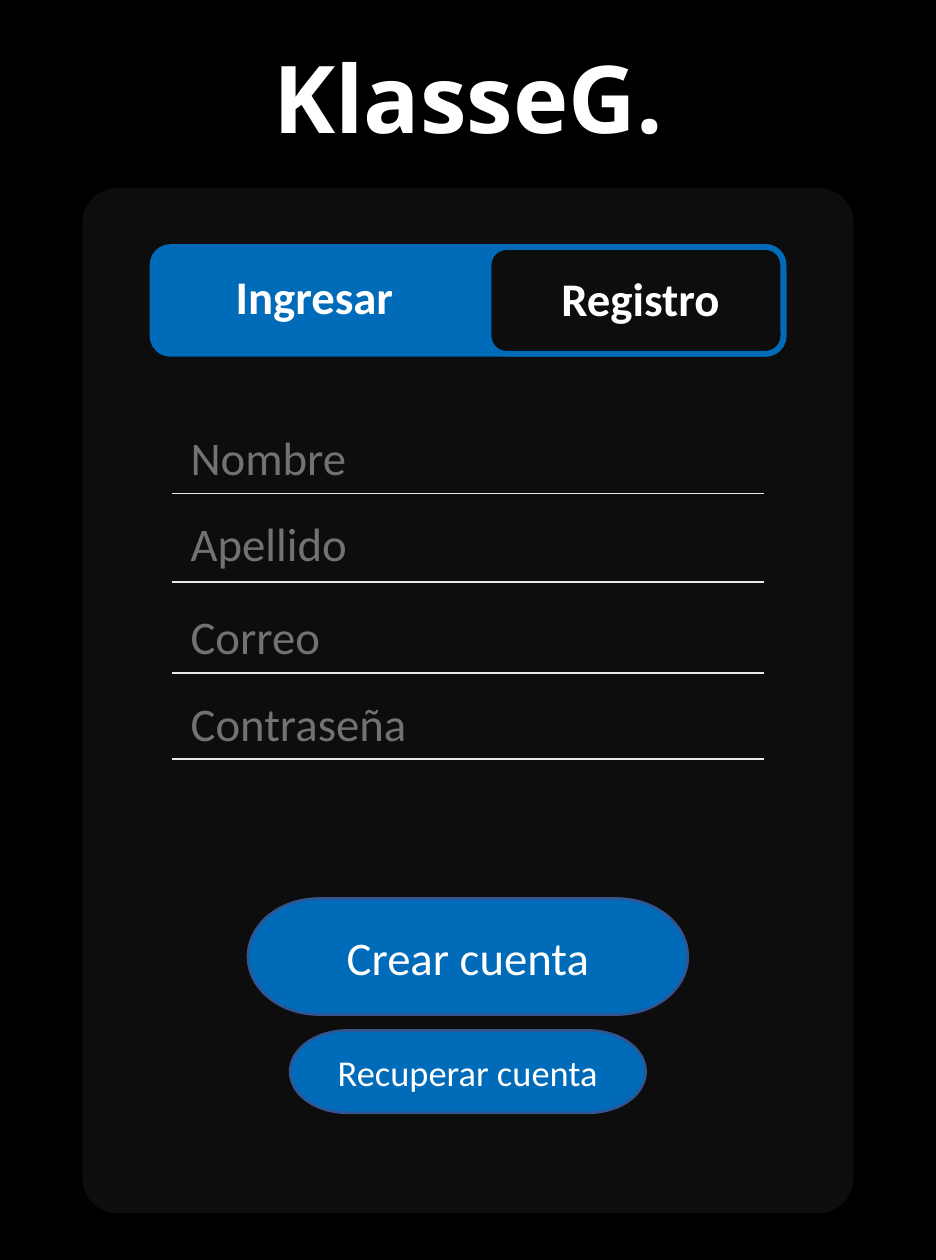
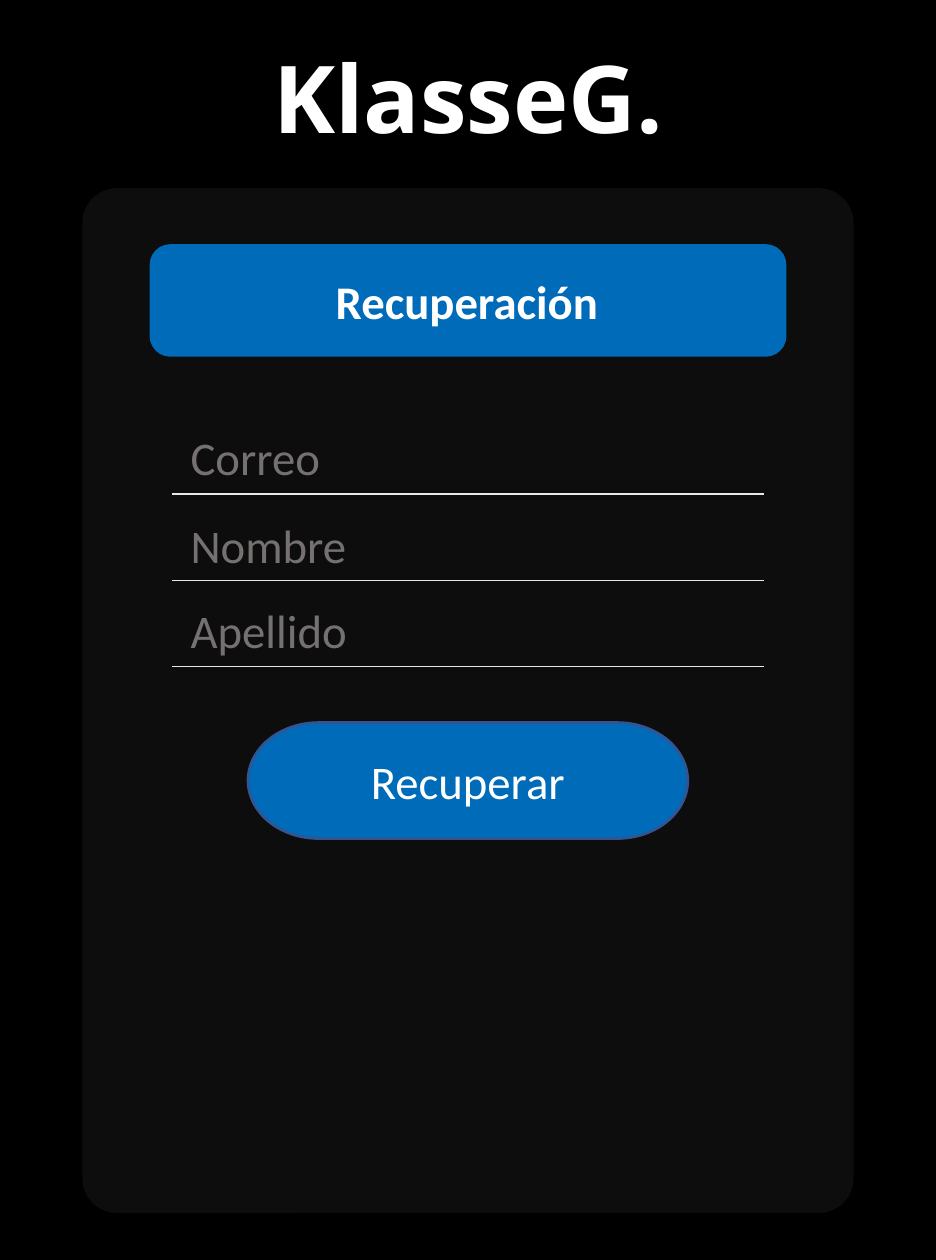
from pptx import Presentation
from pptx.dml.color import RGBColor
from pptx.enum.shapes import MSO_CONNECTOR, MSO_SHAPE
from pptx.enum.text import MSO_ANCHOR, MSO_AUTO_SIZE, PP_ALIGN
from pptx.oxml.ns import qn
from pptx.util import Cm, Pt
from lxml import etree

CARD = MSO_SHAPE.ROUNDED_RECTANGLE
TAB = MSO_SHAPE.FLOWCHART_ALTERNATE_PROCESS
PILL = MSO_SHAPE.FLOWCHART_TERMINATOR
STRAIGHT = MSO_CONNECTOR.STRAIGHT
LEFT, CENTER = PP_ALIGN.LEFT, PP_ALIGN.CENTER
TOP, MIDDLE = MSO_ANCHOR.TOP, MSO_ANCHOR.MIDDLE
NO_FIT, GROW = MSO_AUTO_SIZE.NONE, MSO_AUTO_SIZE.SHAPE_TO_FIT_TEXT
TITLE_ONLY = 5
COLUMNS = 50

BLACK, PANEL, BLUE = "000000", "0D0D0D", "006BB9"
EDGE, RULE, HINT, WHITE = "325491", "E9E8E8", "767171", "FFFFFF"
HINT_WIDTHS = {"Nombre": 10.4, "Apellido": 10.5, "Correo": 9,
               "Contraseña": 13.7}


def rgb(code):
    """Turn a hex string into a colour."""
    return RGBColor.from_string(code)


def write(tf, text, size=18, font="Calibri", color=WHITE, bold=False,
          align=CENTER, anchor=MIDDLE, wrap=True, fit=NO_FIT):
    """Write one formatted line into a text frame."""
    tf.word_wrap = wrap
    tf.auto_size = fit
    tf.vertical_anchor = anchor
    p = tf.paragraphs[0]
    p.alignment = align
    r = p.add_run()
    r.text = text
    r.font.size, r.font.name, r.font.bold = Pt(size), font, bold
    r.font.color.rgb = rgb(color)


class Screens:
    """Phone screens on a grid of square cells, 50 to the slide's width."""

    def __init__(self, prs):
        """Keep the presentation and paint the shared background."""
        self.prs = prs
        self.cell = prs.slide_width / COLUMNS
        fill = prs.slide_master.background.fill
        fill.solid()
        fill.fore_color.rgb = rgb(BLACK)

    def grid(self, *cells):
        """Convert grid cells to lengths."""
        return [round(c * self.cell) for c in cells]

    def screen(self, name):
        """Start a slide with its title and card."""
        self.slide = self.prs.slides.add_slide(
            self.prs.slide_layouts[TITLE_ONLY])
        self.shapes = self.slide.shapes
        title = self.shapes.title
        title.left, title.top, title.width, title.height = self.grid(
            11.6, 0, 26.8, 10.3)
        write(title.text_frame, name, size=36, font="Open Sans", bold=True)
        card = self.block(CARD, 4.4, 10.05, 41.2, 54.75, PANEL)
        card.adjustments[0] = 0.045

    def group(self):
        """Collect the next elements in a new group."""
        self.shapes = self.slide.shapes.add_group_shape().shapes

    def ungroup(self):
        """Place the next elements straight on the slide."""
        self.shapes = self.slide.shapes

    def block(self, kind, x, y, w, h, fill, line=None, weight=1):
        """Draw a filled shape, outlined if a line colour is given."""
        sp = self.shapes.add_shape(kind, *self.grid(x, y, w, h))
        sp.shadow.inherit = False
        sp.fill.solid()
        sp.fill.fore_color.rgb = rgb(fill)
        if line:
            sp.line.color.rgb = rgb(line)
            sp.line.width = Pt(weight)
        else:
            sp.line.fill.background()
        return sp

    def label(self, text, x, y, w, **style):
        """Place a one-line text box."""
        tb = self.shapes.add_textbox(*self.grid(x, y, w, 4))
        write(tb.text_frame, text, align=LEFT, anchor=TOP, wrap=False,
              fit=GROW, **style)

    def tab(self, x, w, fill):
        """Draw one tab of the header bar."""
        self.block(TAB, x, 13.2, w, 5.7, fill, BLUE, 2.25)

    def rule(self, x, y, w):
        """Draw a thin horizontal line."""
        cn = self.shapes.add_connector(
            STRAIGHT, *self.grid(x, y, x + w, y))
        cn.line.color.rgb = rgb(RULE)
        cn.line.width = Pt(0.5)
        etree.SubElement(cn._element.spPr, qn("a:effectLst"))

    def fields(self, rows):
        """Draw input fields from a name, a hint row and a rule row each."""
        self.group()
        for name, top, base in rows:
            self.rule(9.2, base, 31.6)
            self.label(name, 9.2, top, HINT_WIDTHS[name], color=HINT)
        self.ungroup()

    def button(self, text, y, w=23.5, h=6.2, size=18):
        """Draw a pill button centred on the slide."""
        sp = self.block(PILL, (COLUMNS - w) / 2, y, w, h, BLUE, EDGE)
        write(sp.text_frame, text, size=size)


prs = Presentation()
prs.slide_width, prs.slide_height = Cm(12.71), Cm(17.11)
s = Screens(prs)

# Sign-up
s.screen("KlasseG.")
s.fields([("Nombre", 22.4, 26.35), ("Apellido", 27, 31.1),
          ("Correo", 31.95, 35.95), ("Contraseña", 36.6, 40.55)])
s.button("Crear cuenta", 48)
s.group()
s.tab(8.15, 33.7, BLUE)
s.tab(26.1, 15.75, PANEL)
s.label("Registro", 29, 13.9, 10.6, bold=True)
s.label("Ingresar", 11.6, 13.8, 10.5, bold=True)
s.ungroup()
s.button("Recuperar cuenta", 55.05, w=19, h=4.4, size=14)

# Account recovery
s.screen("KlasseG.")
s.button("Recuperar", 38.6)
s.group()
s.tab(8.15, 33.7, BLUE)
s.label("Recuperación", 16.95, 14.05, 16.1, bold=True)
s.ungroup()
s.fields([("Correo", 22.4, 26.4), ("Nombre", 27.1, 31),
          ("Apellido", 31.65, 35.6)])

prs.save("out.pptx")
